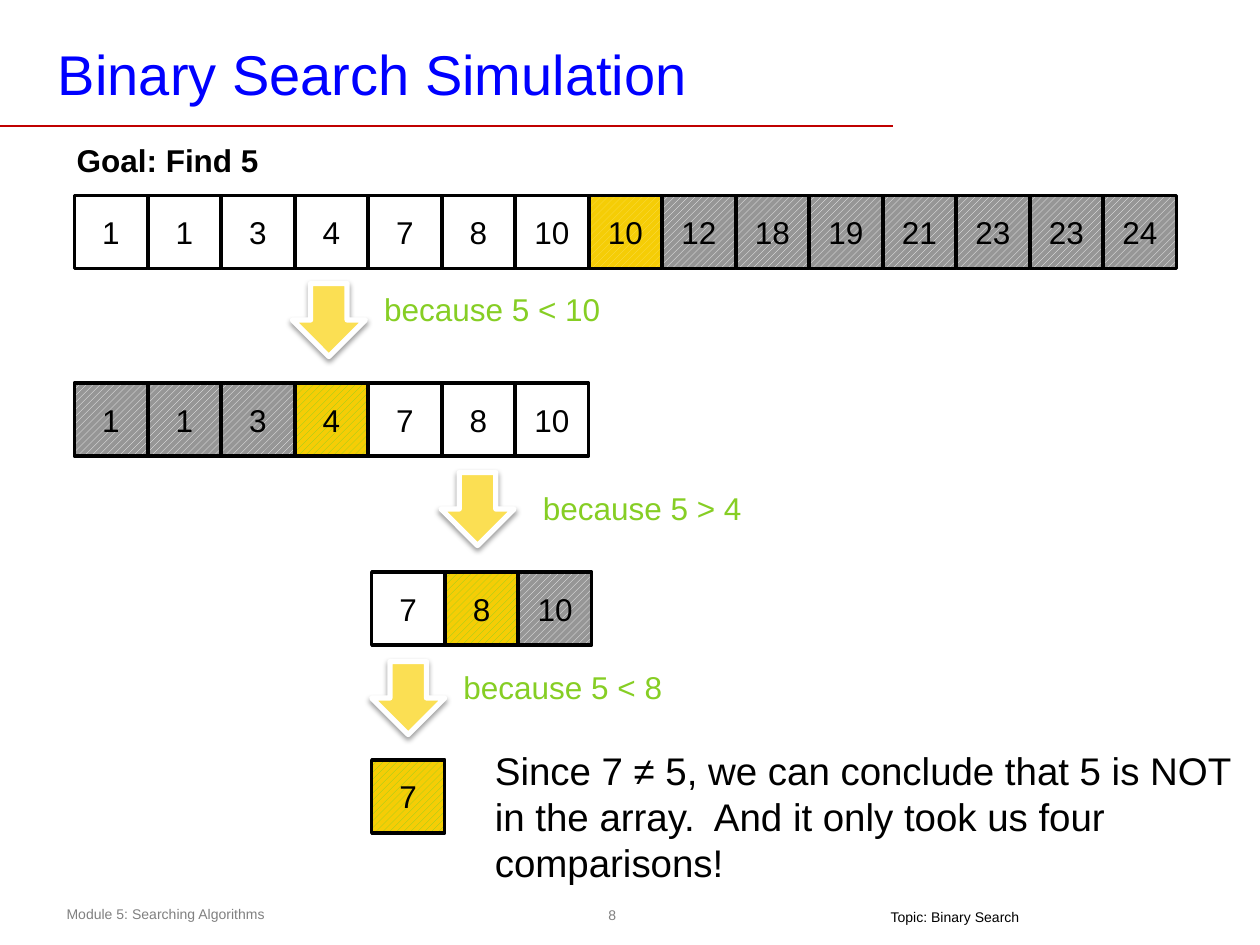
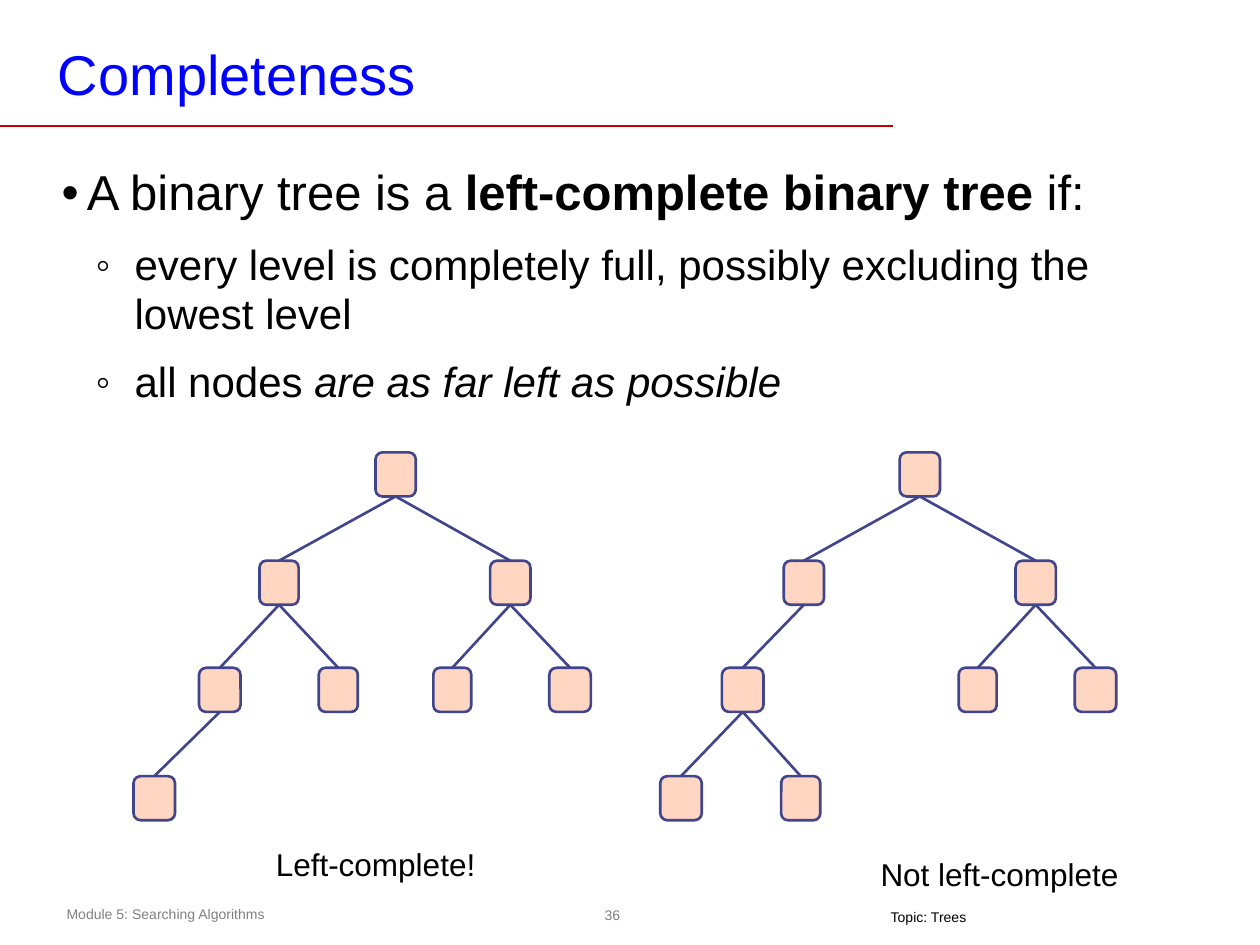
from lxml import etree
from pptx import Presentation
from pptx import util as u
from pptx.dml.color import RGBColor
from pptx.enum import dml, shapes, text
from pptx.oxml import ns

PX = 9144  # EMU in one px, 100 px to the inch
FONT = "Arial"
BLACK = RGBColor(0x00, 0x00, 0x00)
WHITE = RGBColor(0xFF, 0xFF, 0xFF)
GRAY = RGBColor(0x80, 0x80, 0x80)
BLUE = RGBColor(0x00, 0x00, 0xFF)
RED = RGBColor(0xC0, 0x00, 0x00)
GREEN = RGBColor(0x86, 0xCE, 0x24)
GOLD = RGBColor(0xF5, 0xCD, 0x06)
PALE_GOLD = RGBColor(0xFB, 0xDF, 0x53)
DROPPED = RGBColor(0x96, 0x96, 0x96)
PEACH = RGBColor(0xFF, 0xD6, 0xC2)
INDIGO = RGBColor(0x40, 0x45, 0x8C)

# Content: the search
FOOTER = "Module 5: Searching Algorithms"
TARGET = 5
CELL = 58
STEPS = [  # left, top, values, hatch colour of the middle cell
    (59, 155, [1, 1, 3, 4, 7, 8, 10, 10, 12, 18, 19, 21, 23, 23, 24], PALE_GOLD),
    (59, 304, [1, 1, 3, 4, 7, 8, 10], GREEN),
    (295, 454, [7, 8, 10], GREEN),
    (295, 603, [7], GREEN),
]
REASONS = [  # arrow left, arrow top, label left, label top, label
    (232, 225, 295, 225, "because 5 < 10"),
    (350, 375, 421, 383, "because 5 > 4"),
    (295, 525, 358, 525, "because 5 < 8"),
]
CONCLUSION = ("Since 7 ≠ 5, we can conclude that 5 is NOT in the array.  "
              "And it only took us four comparisons!")

# Content: the trees
BULLETS = [  # level, runs of text and format
    (0, [("A binary tree is a ", {}), ("left-complete binary tree ", {"bold": True}),
         ("if:", {})]),
    (1, [("every level is completely full, possibly excluding the lowest level", {})]),
    (1, [("all nodes ", {}), ("are as far left as possible", {"italic": True})]),
]
LEVELS = [  # bullet, margin, indent, size
    ("•", 20, -20, 28),
    ("◦", 58, -31, 24),
]
TREE_TOP, NODE_H, LEVEL_GAP = 359, 35, 85.67
TREES = [  # nodes: left, width, level, index of parent
    [(298, 32, 0, None), (206, 31, 1, 0), (389, 32, 1, 0), (158, 33, 2, 1),
     (253, 31, 2, 1), (344, 30, 2, 2), (436, 33, 2, 2), (106, 33, 3, 3)],
    [(714, 32, 0, None), (622, 32, 1, 0), (806, 32, 1, 0), (573, 33, 2, 1),
     (761, 30, 2, 2), (853, 33, 2, 2), (524, 33, 3, 3), (620, 31, 3, 3)],
]
CAPTIONS = [
    ((209, 666, 208, 40), "Left-complete!"),
    ((689, 674, 233, 40), "Not left-complete"),
]


def px(*lengths):
    return [round(n * PX) for n in lengths]


def style(obj, fmt):
    for name, value in fmt.items():
        setattr(obj, name, value)


def write(p, words, size, color=BLACK, **fmt):
    r = p.add_run()
    r.text = words
    style(r.font, {"name": FONT, "size": u.Pt(size), **fmt})
    r.font.color.rgb = color


def add_text(slide, box, words, size, color=BLACK, align=None, frame=None, **fmt):
    tf = slide.shapes.add_textbox(*px(*box)).text_frame
    style(tf, {"word_wrap": True, **(frame or {})})
    p = tf.paragraphs[0]
    p.alignment = align
    write(p, words, size, color, **fmt)


def add_box(parent, preset, box, fill, line, weight):
    sp = parent.shapes.add_shape(preset, *px(*box))
    sp.shadow.inherit = False
    if isinstance(fill, tuple) and not isinstance(fill, RGBColor):
        sp.fill.patterned()
        sp.fill.pattern = dml.MSO_PATTERN.WIDE_UPWARD_DIAGONAL
        sp.fill.fore_color.rgb, sp.fill.back_color.rgb = fill
    else:
        sp.fill.solid()
        sp.fill.fore_color.rgb = fill
    sp.line.color.rgb = line
    sp.line.width = u.Pt(weight)
    return sp


def add_line(parent, start, end, color, weight):
    cx = parent.shapes.add_connector(shapes.MSO_CONNECTOR.STRAIGHT, *px(*start, *end))
    cx.line.color.rgb = color
    cx.line.width = u.Pt(weight)
    etree.SubElement(cx._element.spPr, ns.qn("a:effectLst"))
    return cx


def add_slide(prs, title, number, topic, topic_width):
    slide = prs.slides.add_slide(prs.slide_layouts[6])
    side, edge = px(7, 3)
    add_text(slide, (39, 28, 742, 60), title, 32, BLUE, frame={
        "margin_left": side, "margin_right": side, "margin_top": edge,
        "margin_bottom": edge, "vertical_anchor": text.MSO_ANCHOR.BOTTOM})
    add_line(slide, (0, 100), (709, 100), RED, 1)
    # Footer
    add_text(slide, (43, 714, 364, 24), FOOTER, 8, GRAY)
    add_text(slide, (474, 713, 24, 26), number, 8, GRAY, text.PP_ALIGN.CENTER, {
        "margin_left": 0, "margin_right": 0, "word_wrap": False,
        "vertical_anchor": text.MSO_ANCHOR.MIDDLE})
    add_text(slide, (697, 721, topic_width, 17), topic, 8,
             frame={"margin_top": 0, "word_wrap": False})
    return slide


def add_cells(slide, left, top, values, hatch):
    """Draw one step; the half that cannot hold the target is hatched gray."""
    row = slide.shapes.add_group_shape()
    mid = len(values) // 2
    for i, value in enumerate(values):
        dropped = i > mid if TARGET < values[mid] else i < mid
        fill = (hatch, GOLD) if i == mid else (WHITE, DROPPED) if dropped else WHITE
        box = (left + i * 175 / 3, top, CELL, CELL)
        sp = add_box(row, shapes.MSO_SHAPE.RECTANGLE, box, fill, BLACK, 2)
        tf = sp.text_frame
        tf.vertical_anchor = text.MSO_ANCHOR.MIDDLE
        tf.paragraphs[0].alignment = text.PP_ALIGN.CENTER
        write(tf.paragraphs[0], str(value), 18)


def add_arrow(slide, left, top):
    sp = add_box(slide, shapes.MSO_SHAPE.DOWN_ARROW, (left, top, CELL, CELL),
                 PALE_GOLD, WHITE, 3)
    effects = sp._element.spPr.find(ns.qn("a:effectLst"))
    shadow = etree.SubElement(effects, ns.qn("a:outerShdw"), blurRad=str(u.Pt(3.1)),
                              dist=str(u.Pt(1.6)), dir="5400000", rotWithShape="0")
    color = etree.SubElement(shadow, ns.qn("a:srgbClr"), val=str(BLACK))
    etree.SubElement(color, ns.qn("a:alpha"), val="38000")


def add_bullets(slide, box):
    tf = slide.shapes.add_textbox(*px(*box)).text_frame
    tf.word_wrap = True
    for i, (level, runs) in enumerate(BULLETS):
        p = tf.paragraphs[0] if i == 0 else tf.add_paragraph()
        mark, margin, indent, size = LEVELS[level]
        style(p, {"level": level, "line_spacing": 0.97,
                  "space_before": u.Pt(11 if i else 0)})
        pPr = p._p.get_or_add_pPr()
        for name, value in zip(("marL", "indent"), px(margin, indent)):
            pPr.set(name, str(value))
        etree.SubElement(pPr, ns.qn("a:buFont"), typeface=FONT)
        etree.SubElement(pPr, ns.qn("a:buChar"), char=mark)
        for words, fmt in runs:
            write(p, words, size, **fmt)


def add_tree(slide, nodes):
    tree = slide.shapes.add_group_shape()
    tops = [TREE_TOP + round(level * LEVEL_GAP) for _, _, level, _ in nodes]
    boxes = []
    for (left, width, _, _), top in zip(nodes, tops):
        sp = add_box(tree, shapes.MSO_SHAPE.ROUNDED_RECTANGLE,
                     (left, top, width, NODE_H), PEACH, INDIGO, 1.5)
        sp.adjustments[0] = 0.17
        boxes.append(sp)
    for child, (left, width, _, parent) in enumerate(nodes):
        if parent is None:
            continue
        start = (nodes[parent][0] + nodes[parent][1] / 2, tops[parent] + NODE_H)
        cx = add_line(tree, start, (left + width / 2, tops[child]), INDIGO, 1.5)
        cx.begin_connect(boxes[parent], 2)
        cx.end_connect(boxes[child], 0)


def main():
    prs = Presentation()
    prs.slide_width, prs.slide_height = px(1000, 750)

    # Binary search
    slide = add_slide(prs, "Binary Search Simulation", "8", "Topic: Binary Search", 123)
    add_text(slide, (51, 107, 342, 40), f"Goal: Find {TARGET}", 18, bold=True)
    for step in STEPS:
        add_cells(slide, *step)
    for left, top, label_left, label_top, label in REASONS:
        add_arrow(slide, left, top)
        add_text(slide, (label_left, label_top, 225, 40), label, 18, GREEN)
    add_text(slide, (383, 588, 617, 121), CONCLUSION, 22)

    # Left-complete trees
    slide = add_slide(prs, "Completeness", "36", "Topic: Trees", 81)
    add_bullets(slide, (39, 126, 931, 548))
    for nodes in TREES:
        add_tree(slide, nodes)
    for box, caption in CAPTIONS:
        add_text(slide, box, caption, 18)

    prs.save("out.pptx")


if __name__ == "__main__":
    main()
